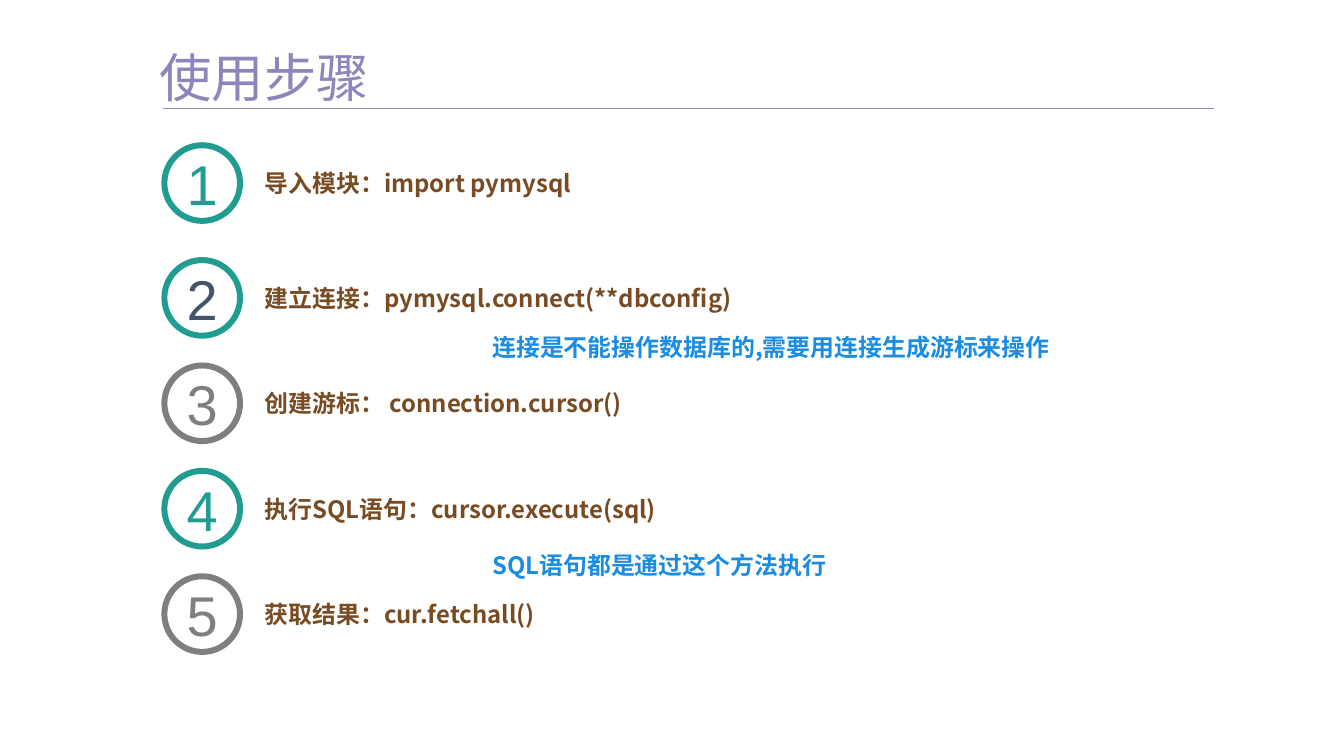
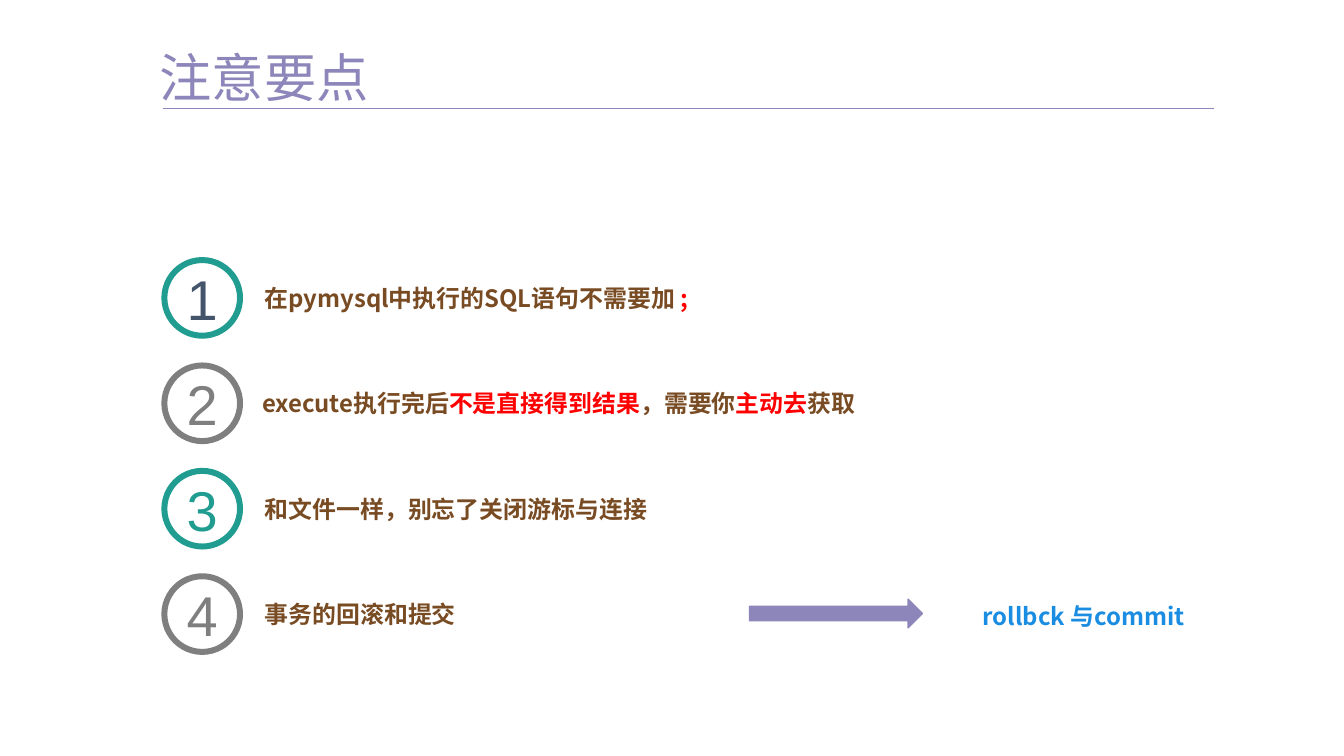
"""Build two slides on querying a database with pymysql: the steps and the points to note."""
import pptx
import pptx.util
import pptx.dml.color
import pptx.enum.shapes
import pptx.enum.text
import pptx.oxml.ns

Pt = pptx.util.Pt
SHAPE = pptx.enum.shapes.MSO_SHAPE
ALIGN = pptx.enum.text.PP_ALIGN
ANCHOR = pptx.enum.text.MSO_ANCHOR
AUTOSIZE = pptx.enum.text.MSO_AUTO_SIZE

COLORS = {"violet": "8D86BA", "teal": "209D90", "grey": "7F7F7F", "navy": "44546A",
          "brown": "784B23", "blue": "1A8CE1", "red": "FF0000", "white": "FFFFFF"}
CJK = "Noto Sans CJK SC"
FRAME = {"margin_left": 0, "margin_right": 0, "margin_top": 0, "margin_bottom": 0,
         "word_wrap": True}
TITLE = {"name": CJK, "size": Pt(39.4), "bold": False}
BODY = {"name": CJK, "size": Pt(18), "bold": True}
NUMBER = {"name": "Arial", "size": Pt(42.2), "bold": False}

CIRCLE = 57
ROW_HEIGHT = 21.6
CENTERS = [137.9] + [224.4 + 79.4 * i for i in range(4)]
RINGS = ["teal", "teal", "grey", "teal", "grey"]
DIGITS = ["teal", "navy", "grey", "teal", "grey"]

SLIDES = [
    {"title": "使用步骤", "first": 0,
     "rows": [
         (0, [("导入模块：import pymysql", "brown")]),
         (0, [("建立连接：pymysql.connect(**dbconfig)", "brown")]),
         (0, [("创建游标： connection.cursor()", "brown")]),
         (0, [("执行SQL语句：cursor.execute(sql)", "brown")]),
         (0, [("获取结果：cur.fetchall()", "brown")])],
     "notes": [(370.8, 250.6, 485, "连接是不能操作数据库的,需要用连接生成游标来操作"),
               (370.8, 414.7, 485, "SQL语句都是通过这个方法执行")],
     "arrows": []},
    {"title": "注意要点", "first": 1,
     "rows": [
         (0, [("在pymysql中执行的SQL语句不需要加 ", "brown"), (";", "red")]),
         (-2, [("execute执行完后", "brown"), ("不是直接得到结果", "red"),
               ("，需要你", "brown"), ("主动去", "red"), ("获取", "brown")]),
         (0, [("和文件一样，别忘了关闭游标与连接", "brown")]),
         (0, [("事务的回滚和提交", "brown")])],
     "notes": [(740.2, 452.9, 238, "rollbck 与commit")],
     "arrows": [(564.5, 451.4, 130.3, ROW_HEIGHT)]},
]


def rgb(name):
    """Return the named colour."""
    return pptx.dml.color.RGBColor.from_string(COLORS[name])


def write(sp, runs, font, align=ALIGN.LEFT, anchor=ANCHOR.MIDDLE, autosize=AUTOSIZE.NONE):
    """Fill a shape with one paragraph of coloured runs."""
    tf = sp.text_frame
    frame = {**FRAME, "vertical_anchor": anchor, "auto_size": autosize}
    for key, value in frame.items():
        setattr(tf, key, value)
    p = tf.paragraphs[0]
    p.alignment = align
    for text, color in runs:
        r = p.add_run()
        r.text = text
        for key, value in font.items():
            setattr(r.font, key, value)
        r.font.color.rgb = rgb(color)
        ea = r.font._element.makeelement(pptx.oxml.ns.qn("a:ea"), {"typeface": font["name"]})
        r.font._element.append(ea)


prs = pptx.Presentation()
prs.slide_width = Pt(1012.32)
prs.slide_height = Pt(569.52)

for content in SLIDES:
    s = prs.slides.add_slide(prs.slide_layouts[5])
    title = s.shapes.title
    for key, value in {"left": 120.2, "top": 33.8, "width": 431, "height": 47.5}.items():
        setattr(title, key, Pt(value))
    write(title, [(content["title"], "violet")], TITLE, anchor=ANCHOR.TOP)

    rule = s.shapes.add_connector(pptx.enum.shapes.MSO_CONNECTOR.STRAIGHT,
                                  Pt(122.4), Pt(81.4), Pt(914.4), Pt(81.4))
    rule.line.color.rgb = rgb("violet")
    rule.line.width = Pt(0.5)
    sp_pr = rule._element.spPr
    sp_pr.append(sp_pr.makeelement(pptx.oxml.ns.qn("a:effectLst"), {}))

    for i, (nudge, runs) in enumerate(content["rows"]):
        slot = content["first"] + i
        center = CENTERS[slot]
        sp = s.shapes.add_shape(SHAPE.OVAL, Pt(123.8), Pt(center - CIRCLE / 2),
                                Pt(CIRCLE), Pt(CIRCLE))
        sp.shadow.inherit = False
        sp.fill.solid()
        sp.fill.fore_color.rgb = rgb("white")
        sp.line.color.rgb = rgb(RINGS[slot])
        sp.line.width = Pt(4.5)
        write(sp, [(str(i + 1), DIGITS[slot])], NUMBER, align=ALIGN.CENTER)

        box = s.shapes.add_textbox(Pt(199.4 + nudge), Pt(center - ROW_HEIGHT / 2),
                                   Pt(507), Pt(ROW_HEIGHT))
        write(box, runs, BODY, autosize=AUTOSIZE.SHAPE_TO_FIT_TEXT)

    for left, top, width, text in content["notes"]:
        box = s.shapes.add_textbox(Pt(left), Pt(top), Pt(width), Pt(ROW_HEIGHT))
        write(box, [(text, "blue")], BODY, autosize=AUTOSIZE.SHAPE_TO_FIT_TEXT)

    for bounds in content["arrows"]:
        sp = s.shapes.add_shape(SHAPE.RIGHT_ARROW, *map(Pt, bounds))
        sp.shadow.inherit = False
        sp.fill.solid()
        sp.fill.fore_color.rgb = rgb("violet")
        sp.line.color.rgb = rgb("violet")
        sp.line.width = Pt(1)

prs.save("out.pptx")
